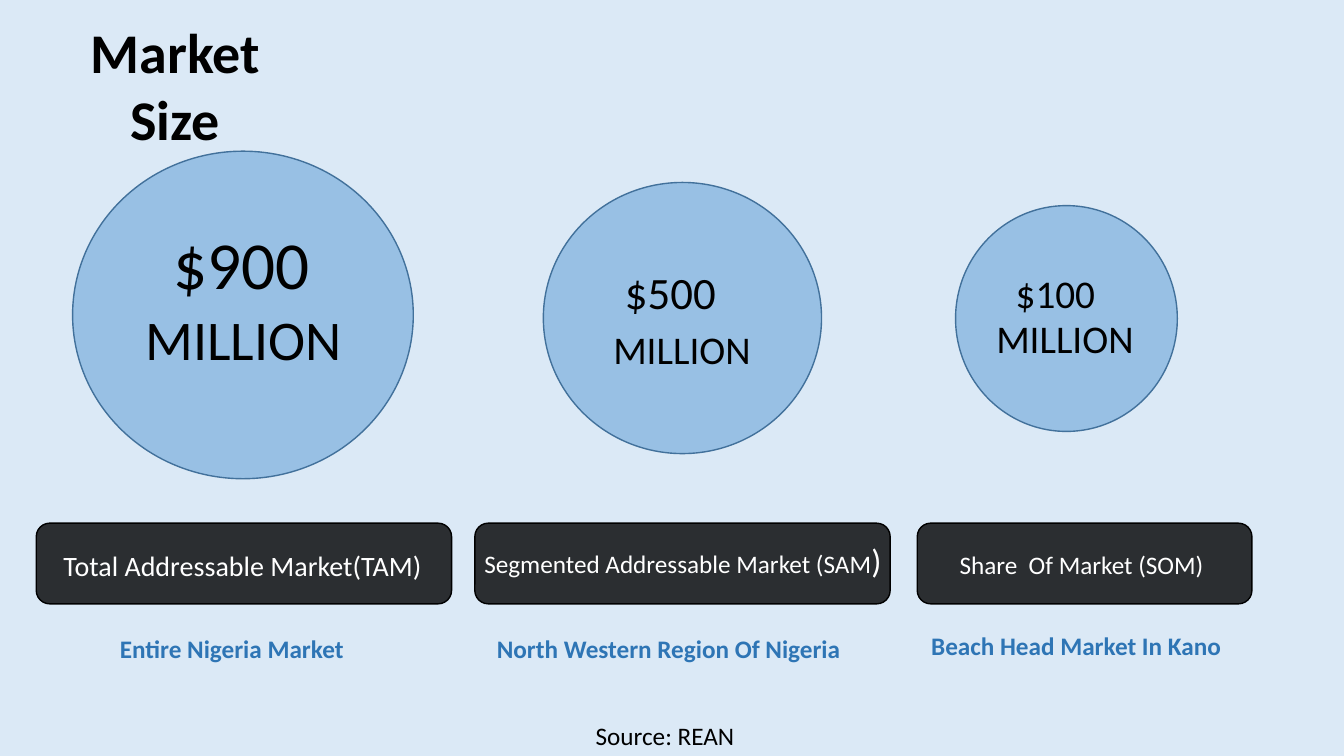
"""Build the market size slide, with lengths as percent shares of the slide."""
from dataclasses import dataclass

from lxml import etree
from pptx import Presentation
from pptx import util as u
from pptx.dml.color import RGBColor
from pptx.enum import shapes, text
from pptx.oxml.ns import qn

WIDE, HIGH = u.Inches(13.333), u.Inches(7.5)
HUES = {"back": "DBE9F6", "ball": "5B9BD5", "rim": "42719B",
        "black": "000000", "white": "FFFFFF", "note": "2E75B5"}
BAR_TOP, BAR_HIGH = 69.2, 10.67


@dataclass(frozen=True)
class Box:
    left: float
    top: float
    wide: float
    high: float

    def place(self) -> tuple[int, int, int, int]:
        return (int(WIDE * self.left / 100), int(HIGH * self.top / 100),
                int(WIDE * self.wide / 100), int(HIGH * self.high / 100))


@dataclass(frozen=True)
class Label:
    words: str
    box: Box
    size: int
    hue: str = "black"
    bold: bool = False
    left: bool = False
    tail: str = ""
    tail_size: int = 24


@dataclass(frozen=True)
class Market:
    ball: Box
    bar: Box
    labels: tuple[Label, ...]


def color(name: str) -> RGBColor:
    return RGBColor.from_string(HUES[name])


def draw_shape(slide, kind, box: Box, fill: str, line: str, share: int):
    shape = slide.shapes.add_shape(kind, *box.place())
    shape.shadow.inherit = False
    shape.fill.solid()
    shape.fill.fore_color.rgb = color(fill)
    tint = shape.fill._xPr.find(qn("a:solidFill"))[0]
    etree.SubElement(tint, qn("a:alpha"), val=str(share * 1000))
    shape.line.color.rgb = color(line)
    shape.line.width = u.Pt(1)


def draw_label(slide, label: Label) -> None:
    frame = slide.shapes.add_textbox(*label.box.place()).text_frame
    frame.word_wrap = True
    frame.text = label.words
    para = frame.paragraphs[0]
    para.alignment = text.PP_ALIGN.LEFT if label.left else text.PP_ALIGN.CENTER
    if label.left:
        frame.auto_size = text.MSO_AUTO_SIZE.SHAPE_TO_FIT_TEXT
    if label.tail:
        para.add_run().text = label.tail
    for run, size in zip(para.runs, (label.size, label.tail_size)):
        run.font.name = "Calibri"
        run.font.size = u.Pt(size)
        run.font.bold = label.bold
        run.font.color.rgb = color(label.hue)


def draw_market(slide, market: Market) -> None:
    kinds = shapes.MSO_SHAPE
    draw_shape(slide, kinds.OVAL, market.ball, "ball", "rim", 52)
    draw_shape(slide, kinds.ROUNDED_RECTANGLE, market.bar, "black", "black", 80)
    for label in market.labels:
        draw_label(slide, label)


TITLE = Label("Market Size", Box(2.7, 1.6, 20.7, 10.27), 40, bold=True)
SOURCE = Label("Source: REAN", Box(43.58, 94.67, 12.7, 5.33), 18, left=True)
MARKETS = (
    Market(Box(5.4, 20, 25.35, 43.33), Box(2.7, BAR_TOP, 30.9, BAR_HIGH), (
        Label("$900", Box(4.2, 28.8, 27.6, 12.13), 48),
        Label("MILLION", Box(5.48, 39.6, 25.28, 10.27), 40),
        Label("Total Addressable Market(TAM)", Box(0, 71.87, 36.08, 5.87), 20, "white"),
        Label("Entire Nigeria Market", Box(8.18, 83.07, 18.4, 5.33), 18, "note", True, True),
    )),
    Market(Box(40.43, 24.13, 20.7, 35.87), Box(35.33, BAR_TOP, 30.9, BAR_HIGH), (
        Label("$500", Box(42.83, 34.4, 14.1, 8.53), 32),
        Label("MILLION", Box(40.13, 42.4, 21.23, 7.6), 28),
        Label("Segmented Addressable Market (SAM", Box(30.3, 70.8, 41.03, 6.67), 18,
              "white", tail=")"),
        Label("North Western Region Of Nigeria", Box(36.23, 83.07, 27.4, 5.33), 18,
              "note", True, True),
    )),
    Market(Box(71.1, 27.2, 16.5, 29.87), Box(68.25, BAR_TOP, 24.9, BAR_HIGH), (
        Label("$100", Box(71.85, 34.93, 13.35, 7.6), 28),
        Label("MILLION", Box(68.25, 40.93, 21.98, 7.6), 28),
        Label("Share  Of Market (SOM)", Box(69.9, 72, 21.15, 5.33), 18, "white"),
        Label("Beach Head Market In Kano", Box(68.55, 82.67, 23.35, 5.33), 18,
              "note", True, True),
    )),
)


def main() -> None:
    deck = Presentation()
    deck.slide_width, deck.slide_height = WIDE, HIGH
    slide = deck.slides.add_slide(deck.slide_layouts[6])
    slide.background.fill.solid()
    slide.background.fill.fore_color.rgb = color("back")
    draw_label(slide, TITLE)
    for market in MARKETS:
        draw_market(slide, market)
    draw_label(slide, SOURCE)
    deck.save("out.pptx")


if __name__ == "__main__":
    main()
